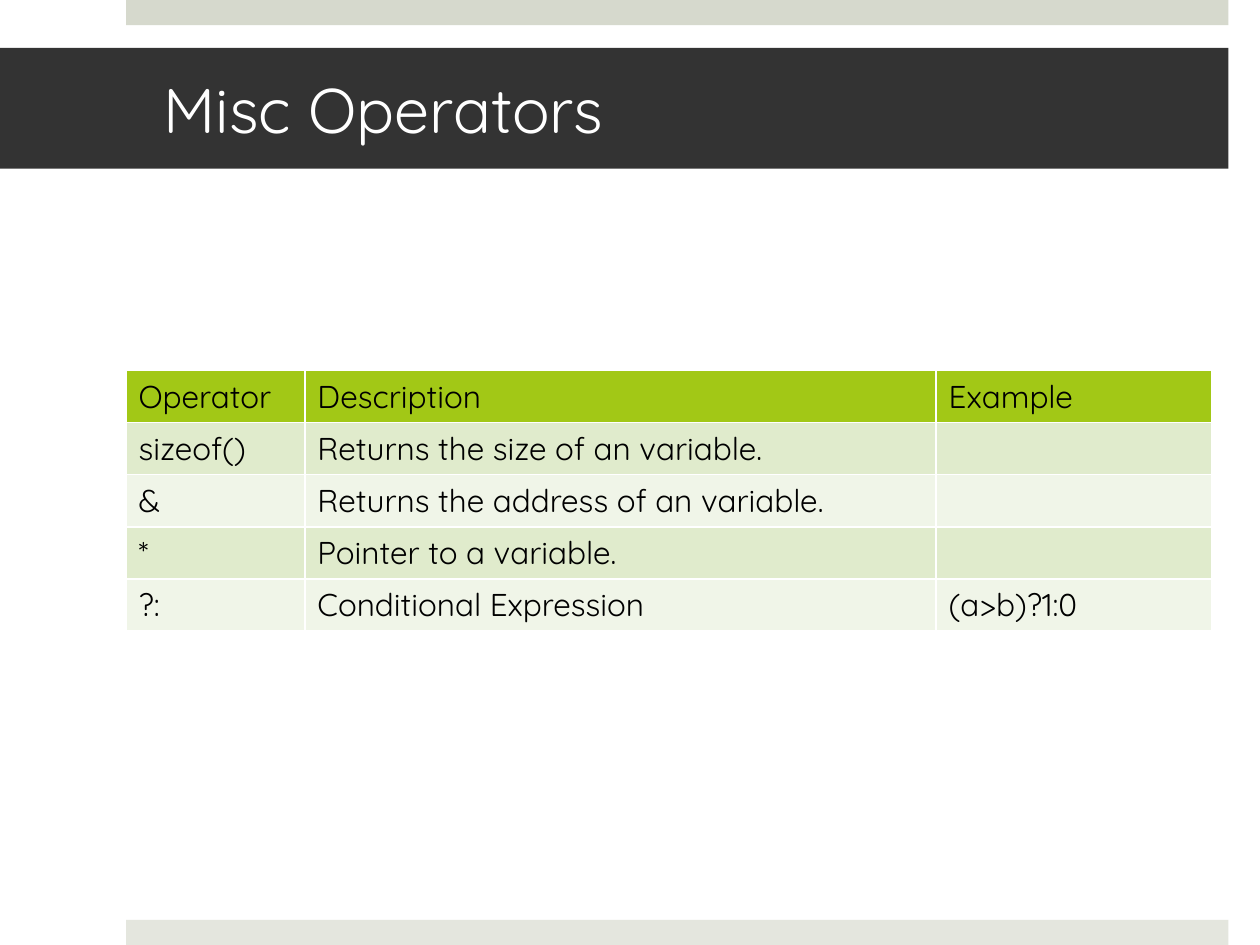
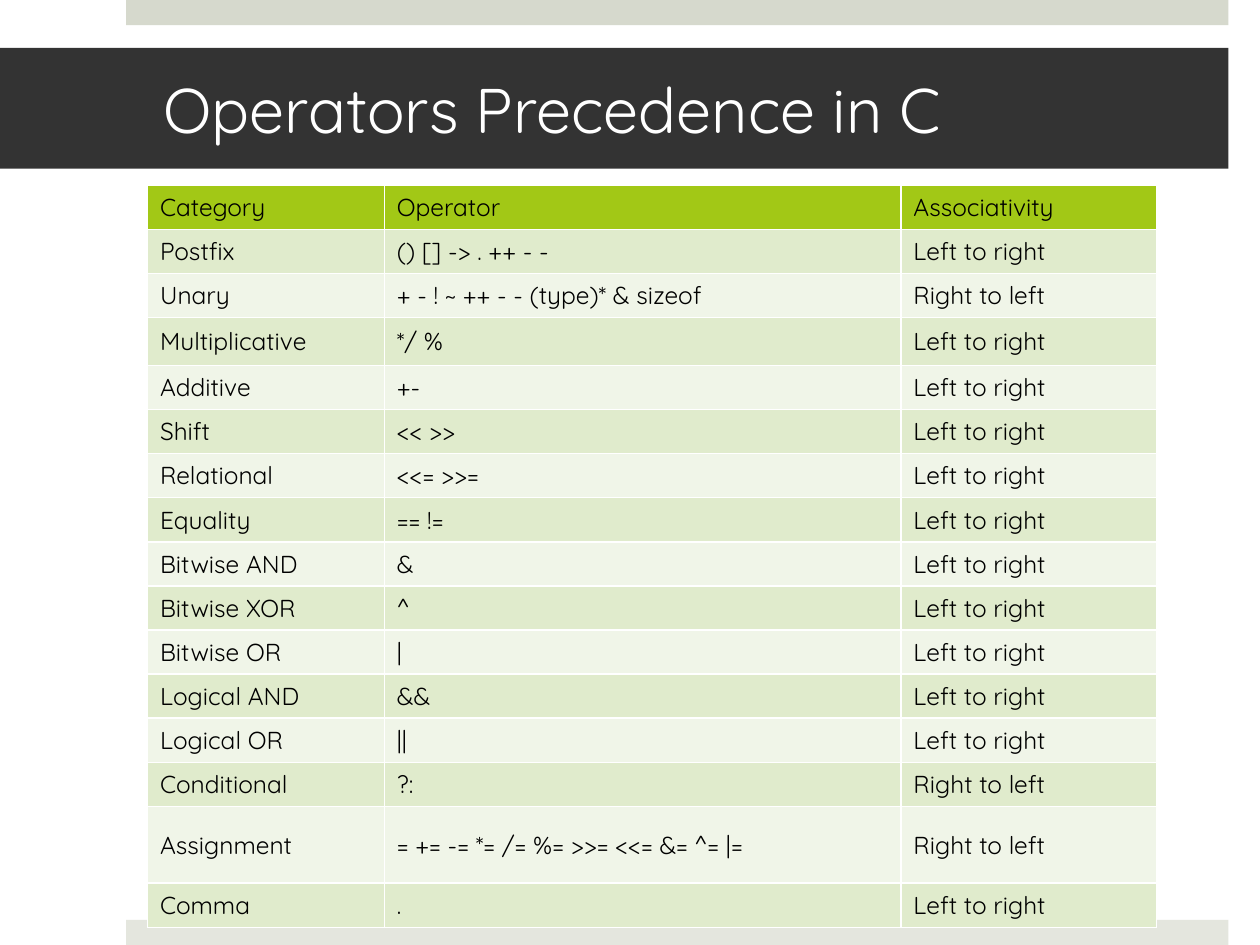
import dataclasses

import lxml.etree
import pptx
import pptx.dml.color
import pptx.enum.shapes
import pptx.enum.text
import pptx.oxml.ns
import pptx.util
from pptx.util import Inches


@dataclasses.dataclass(frozen=True)
class Theme:
    font: str = "Quicksand"
    title_size: int = 36
    text: str = "000000"
    white: str = "FFFFFF"
    top_band: str = "D6D9CD"
    bottom_band: str = "E4E6DE"
    title_band: str = "333333"
    header: str = "A2C816"
    stripes: tuple = ("E0EBCC", "F0F5E8")
    border: float = 1


theme = Theme()
rgb = pptx.dml.color.RGBColor.from_string
qn = pptx.oxml.ns.qn
MIDDLE = pptx.enum.text.MSO_ANCHOR.MIDDLE
TOP = pptx.enum.text.MSO_ANCHOR.TOP


def add_band(slide, left, top, width, height, color):
    sp = slide.shapes.add_shape(
        pptx.enum.shapes.MSO_SHAPE.RECTANGLE,
        Inches(left), Inches(top), Inches(width), Inches(height))
    sp.shadow.inherit = False
    sp.fill.solid()
    sp.fill.fore_color.rgb = rgb(color)
    sp.line.fill.background()
    return sp


def write_text(tf, text, size, color):
    p = tf.paragraphs[0]
    p.text = text
    p.alignment = pptx.enum.text.PP_ALIGN.LEFT
    p.font.size = pptx.util.Pt(size)
    for r in p.runs:
        r.font.name = theme.font
        r.font.size = pptx.util.Pt(size)
        r.font.color.rgb = rgb(color)


# Slide content
misc_rows = [
    ("Operator", "Description", "Example"),
    ("sizeof()", "Returns the size of an variable.", ""),
    ("&", "Returns the address of an variable.", ""),
    ("*", "Pointer to a variable.", ""),
    ("?:", "Conditional Expression", "(a>b)?1:0"),
]
precedence_rows = [
    ("Category", "Operator", "Associativity"),
    ("Postfix", "() [] -> . ++ - -", "Left to right"),
    ("Unary", "+ - ! ~ ++ - - (type)* & sizeof", "Right to left"),
    ("Multiplicative", "*/ %", "Left to right"),
    ("Additive", "+-", "Left to right"),
    ("Shift", "<< >>", "Left to right"),
    ("Relational", "<<= >>=", "Left to right"),
    ("Equality", "== !=", "Left to right"),
    ("Bitwise AND", "&", "Left to right"),
    ("Bitwise XOR", "^", "Left to right"),
    ("Bitwise OR", "|", "Left to right"),
    ("Logical AND", "&&", "Left to right"),
    ("Logical OR", "||", "Left to right"),
    ("Conditional", "?:", "Right to left"),
    ("Assignment", "= += -= *= /= %= >>= <<= &= ^= |=", "Right to left"),
    ("Comma", ".", "Left to right"),
]
# tall_rows gives the heights that differ from row_height
slides = [
    dict(title="Misc Operators", rows=misc_rows, left=1, top=2.94,
         widths=(1.42, 5.01, 2.19), row_height=0.41, tall_rows={},
         size=18, anchor=TOP),
    dict(title="Operators Precedence in C", rows=precedence_rows,
         left=1.17, top=1.47, widths=(1.88, 4.1, 2.03), row_height=0.35,
         tall_rows={"Multiplicative": 0.38, "Assignment": 0.61},
         size=14, anchor=MIDDLE),
]

prs = pptx.Presentation()
prs.slide_width = Inches(10)
prs.slide_height = Inches(7.5)

for content in slides:
    slide = prs.slides.add_slide(prs.slide_layouts[6])

    # Edge bands and title
    add_band(slide, 1, 0, 8.75, 0.2, theme.top_band)
    add_band(slide, 1, 7.3, 8.75, 0.2, theme.bottom_band)
    tf = add_band(slide, 0, 0.38, 9.75, 0.96, theme.title_band).text_frame
    tf.word_wrap = True
    tf.vertical_anchor = MIDDLE
    tf.margin_left, tf.margin_right = Inches(1.3), Inches(0.3)
    write_text(tf, content["title"], theme.title_size, theme.white)

    # Table grid
    rows, widths = content["rows"], content["widths"]
    heights = [content["tall_rows"].get(row[0], content["row_height"])
               for row in rows]
    table = slide.shapes.add_table(
        len(rows), len(widths), Inches(content["left"]), Inches(content["top"]),
        Inches(sum(widths)), Inches(sum(heights))).table
    for column, width in zip(table.columns, widths):
        column.width = Inches(width)
    for table_row, height in zip(table.rows, heights):
        table_row.height = Inches(height)

    # Cells: white borders, green header, striped body
    for i, row in enumerate(rows):
        for j, text in enumerate(row):
            cell = table.cell(i, j)
            cell.vertical_anchor = content["anchor"]
            tcPr = cell._tc.get_or_add_tcPr()
            for side in ("a:lnL", "a:lnR", "a:lnT", "a:lnB"):
                ln = lxml.etree.SubElement(
                    tcPr, qn(side), w=str(pptx.util.Pt(theme.border)))
                fill = lxml.etree.SubElement(ln, qn("a:solidFill"))
                lxml.etree.SubElement(fill, qn("a:srgbClr"), val=theme.white)
            cell.fill.solid()
            cell.fill.fore_color.rgb = rgb(
                theme.stripes[(i - 1) % 2] if i else theme.header)
            write_text(cell.text_frame, text, content["size"], theme.text)
            cell.text_frame.paragraphs[0].font.bold = False
            for r in cell.text_frame.paragraphs[0].runs:
                r.font.bold = False

prs.save("out.pptx")
